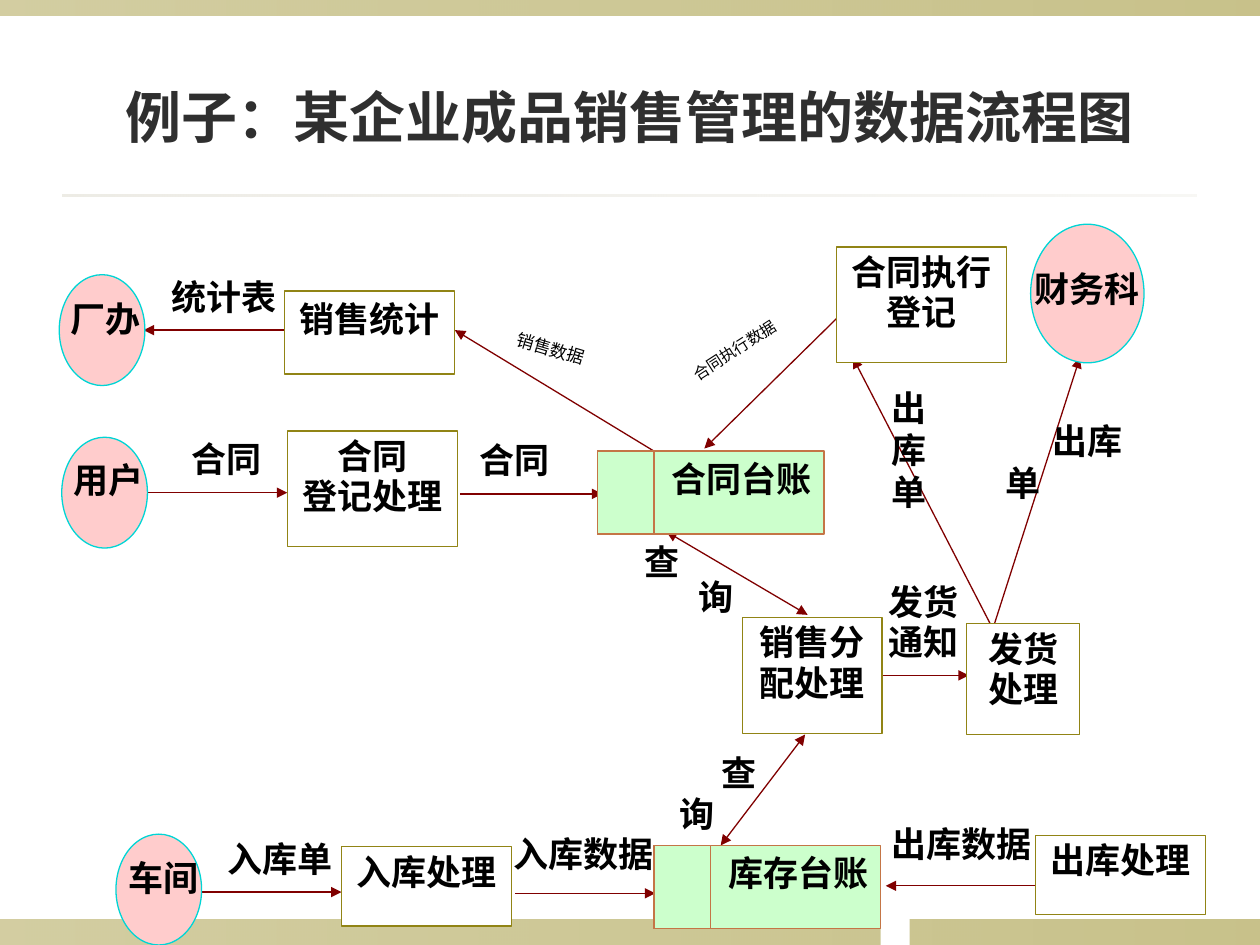
from lxml import etree
from pptx import Presentation
from pptx.dml.color import RGBColor
from pptx.enum import shapes, text
from pptx.oxml import ns
from pptx.util import Inches, Pt

COLORS = {
    "title": "2F2F2F", "ink": "000000", "flow": "800000", "white": "FFFFFF",
    "olive": "918415", "rule": "DCD9CC", "entity": "FFCCCC", "cyan": "00D5D5",
    "store": "CCFFCC", "copper": "C47546",
}
SERIF, SANS, HEADING = "Times New Roman", "Noto Sans CJK SC", "Cabin"
LEFT, CENTER, RIGHT = text.PP_ALIGN.LEFT, text.PP_ALIGN.CENTER, text.PP_ALIGN.RIGHT
RECT, OVAL = shapes.MSO_SHAPE.RECTANGLE, shapes.MSO_SHAPE.FLOWCHART_CONNECTOR

TITLE = "例子：某企业成品销售管理的数据流程图"

# Bands: box, colour, start and end opacity in percent
BANDS = [
    ((0, 7.3, 10, 0.2), "olive", 40, 50),
    ((0, 0, 10, 0.12), "olive", 40, 50),
    ((0.5, 1.54, 9, 0.02), "rule", 50, 20),
]
# Entities: oval box, name, name box
ENTITIES = [
    ((0.47, 2.18, 0.68, 0.88), "厂办", (0.27, 2.31, 1.13, 0.53)),
    ((0.49, 3.47, 0.68, 0.88), "用户", (0.3, 3.59, 1.13, 0.41)),
    ((0.92, 6.62, 0.68, 0.88), "车间", (0.73, 6.75, 1.13, 0.46)),
    ((8.18, 1.78, 0.9, 1.1), "财务科", (7.95, 2.07, 1.35, 0.38)),
]
# Processes: box, name lines, line spacing
PROCESSES = [
    ((2.26, 2.31, 1.35, 0.66), ["销售统计"], 1),
    ((2.28, 3.42, 1.35, 0.92), ["合同", "登记处理"], 0.96),
    ((6.64, 1.96, 1.35, 0.92), ["合同执行登记"], 0.96),
    ((5.89, 4.9, 1.11, 0.92), ["销售分配处理"], 0.96),
    ((2.71, 6.72, 1.35, 0.63), ["入库处理"], 0.96),
    ((8.22, 6.63, 1.35, 0.63), ["出库处理"], 0.96),
    ((7.67, 4.95, 0.9, 0.88), ["发货处理"], 0.96),
]
# Data stores: left, top, name
STORES = [(4.74, 3.58, "合同台账"), (5.19, 6.71, "库存台账")]
STORE_W, STORE_H, STORE_KEY_W = 1.8, 0.66, 0.45
# Flows: start, end, arrows at both ends
FLOWS = [
    ((7.88, 4.99), (8.57, 2.84), False),
    ((7.9, 5.03), (6.77, 2.84), False),
    ((2.26, 2.62), (1.14, 2.62), False),
    ((1.16, 3.91), (2.28, 3.91), False),
    ((3.65, 3.92), (4.78, 3.92), False),
    ((5.19, 3.58), (3.61, 2.62), False),
    ((6.77, 2.4), (5.59, 3.56), False),
    ((6.41, 4.88), (5.29, 4.22), True),
    ((6.39, 5.83), (5.72, 6.71), True),
    ((1.59, 7.08), (2.71, 7.08), False),
    ((4.09, 7.09), (5.2, 7.09), False),
    ((8.22, 7.03), (7.03, 7.03), False),
    ((7.01, 5.36), (7.69, 5.36), False),
]
# Flow labels: box, lines, format
LABELS = [
    ((1.1, 2.14, 1.35, 0.66), ["统计表"], {}),
    ((1.12, 3.42, 1.35, 0.66), ["合同"], {}),
    ((3.41, 3.43, 1.35, 0.66), ["合同"], {}),
    ((1.55, 6.6, 1.35, 0.66), ["入库单"], {}),
    ((3.73, 6.56, 1.8, 0.66), ["入库数据"], {}),
    ((6.73, 6.48, 1.8, 0.66), ["出库数据"], {}),
    ((5.02, 4.26, 1.13, 0.88), ["查", "询"],
     {"aligns": [LEFT, CENTER], "spacings": [0.96, 0.8], "indents": [0, 0.19]}),
    ((4.97, 5.94, 1.13, 0.88), ["查", "询"], {"aligns": [RIGHT, CENTER], "spacings": [0.96]}),
    ((6.88, 4.58, 0.9, 0.88), ["发货通知"], {"spacings": [0.96]}),
    ((6.98, 3.02, 1.13, 1.54), ["出", "库", "单"], {"aligns": [LEFT]}),
    ((7.88, 3.28, 1.13, 1.54), ["出库", "单"], {"aligns": [RIGHT, LEFT]}),
]
# Slanted labels: box, text, rotation, size
SLANTED = [
    ((3.96, 2.66, 0.98, 0.49), "销售数据", 16.5, 10),
    ((5.41, 2.52, 1.35, 0.57), "合同执行数据", 327.2, 9),
]


def color(name):
    return RGBColor.from_string(COLORS[name])


def write(shape, lines, *, size=20, bold=True, font=SERIF, ink="ink", aligns=(CENTER,),
          spacings=(1,), indents=(0,), wrap=True, anchor=text.MSO_ANCHOR.TOP):
    """Fill a shape with lines; the last value of each list holds for later lines."""
    frame = shape.text_frame
    frame.word_wrap, frame.vertical_anchor = wrap, anchor
    for i, line in enumerate(lines):
        paragraph = frame.add_paragraph() if i else frame.paragraphs[0]
        paragraph.alignment, paragraph.line_spacing, indent = (
            values[min(i, len(values) - 1)] for values in (aligns, spacings, indents))
        if indent:
            paragraph._p.get_or_add_pPr().set("marL", str(Inches(indent)))
        run = paragraph.add_run()
        run.text = line
        run.font.size, run.font.bold, run.font.name = Pt(size), bold, font
        run.font.color.rgb = color(ink)
        east_asian = etree.SubElement(run._r.get_or_add_rPr(), ns.qn("a:ea"))
        east_asian.set("typeface", SANS)


def add_box(slide, kind, box, fill, line=None):
    shape = slide.shapes.add_shape(kind, *map(Inches, box))
    shape.shadow.inherit = False
    shape.fill.solid()
    shape.fill.fore_color.rgb = color(fill)
    if line:
        shape.line.color.rgb = color(line)
        shape.line.width = Pt(0.75)
    else:
        shape.line.fill.background()
    return shape


def add_label(slide, box, lines, **style):
    label = slide.shapes.add_textbox(*map(Inches, box))
    write(label, lines, **style)
    return label


def add_band(slide, box, tint, *opacities):
    band = add_box(slide, RECT, box, tint)
    band.fill.gradient()
    band.fill.gradient_angle = 0
    for stop, opacity in zip(band.fill.gradient_stops, opacities):
        stop.color.rgb = color(tint)
    for rgb, opacity in zip(band._element.spPr.iter(ns.qn("a:srgbClr")), opacities):
        etree.SubElement(rgb, ns.qn("a:alpha")).set("val", str(opacity * 1000))


def add_flow(slide, start, end, both):
    flow = slide.shapes.add_connector(shapes.MSO_CONNECTOR.STRAIGHT, *map(Inches, start + end))
    flow.line.color.rgb = color("flow")
    flow.line.width = Pt(0.75)
    for tag in ["a:headEnd", "a:tailEnd"] if both else ["a:tailEnd"]:
        etree.SubElement(flow.line._get_or_add_ln(), ns.qn(tag)).set("type", "triangle")
    etree.SubElement(flow._element.spPr, ns.qn("a:effectLst"))


def main():
    prs = Presentation()
    prs.slide_width, prs.slide_height = Inches(10), Inches(7.5)
    slide = prs.slides.add_slide(prs.slide_layouts[5])

    # Title
    title = slide.shapes.title
    title.left, title.top, title.width, title.height = map(Inches, (0.5, 0.3, 9, 1.25))
    write(title, [TITLE], size=32, font=HEADING, ink="title", anchor=text.MSO_ANCHOR.MIDDLE)

    # Background bands, and the white strips that leave each store open on the right
    for band in BANDS:
        add_band(slide, *band)
    for left, top, _ in STORES:
        add_box(slide, RECT, (left + STORE_W, top - 0.09, 0.23, 0.88), "white")

    # Flows lie under the nodes
    for flow in FLOWS:
        add_flow(slide, *flow)

    # Nodes
    for oval, name, name_box in ENTITIES:
        add_box(slide, OVAL, oval, "entity", "cyan")
        add_label(slide, name_box, [name])
    for box, lines, spacing in PROCESSES:
        write(add_box(slide, RECT, box, "white", "olive"), lines, spacings=[spacing])
    for left, top, name in STORES:
        store = add_box(slide, RECT, (left, top, STORE_W, STORE_H), "store", "copper")
        write(store, [name], aligns=[RIGHT])
        add_box(slide, RECT, (left, top, STORE_KEY_W, STORE_H), "store", "copper")

    # Flow labels
    for box, lines, style in LABELS:
        add_label(slide, box, lines, **style)
    for box, label, rotation, size in SLANTED:
        slanted = add_label(slide, box, [label], size=size, bold=False, font=SANS,
                            aligns=[LEFT], wrap=False)
        slanted.rotation = rotation

    prs.save("out.pptx")


if __name__ == "__main__":
    main()
